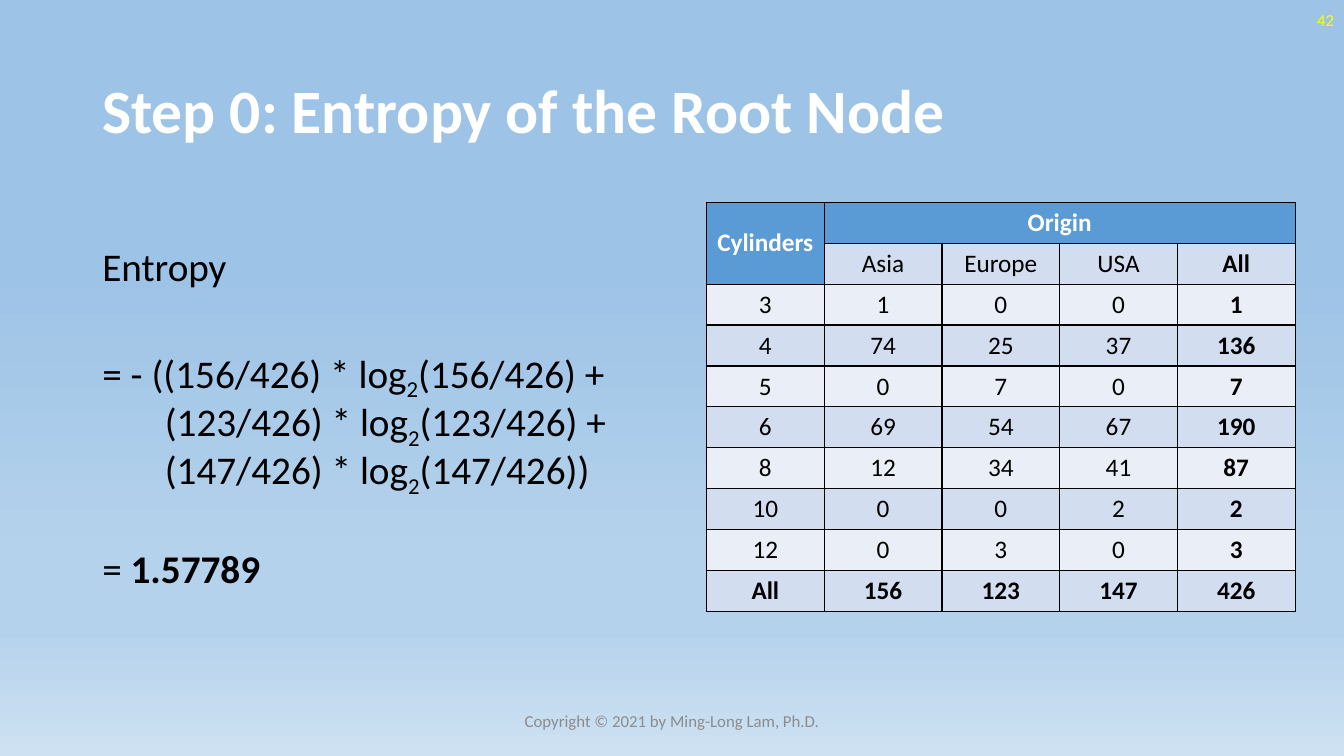
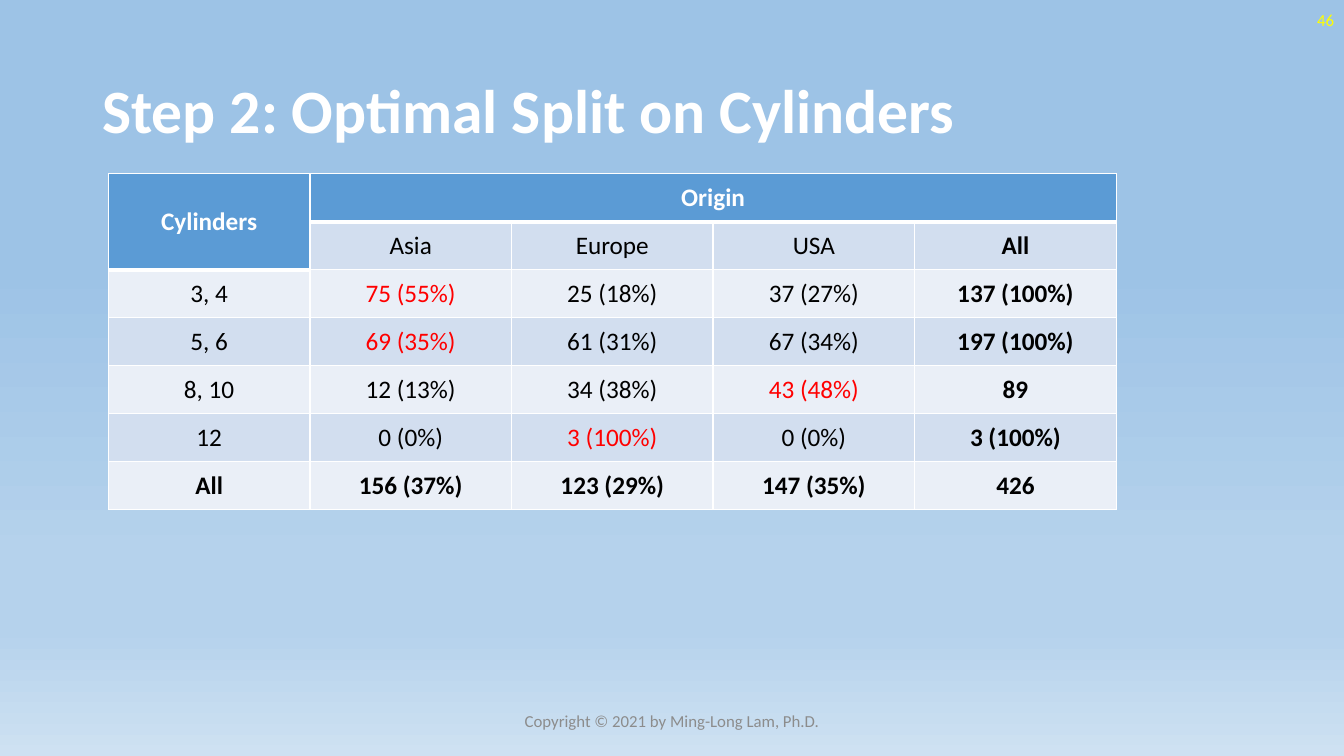
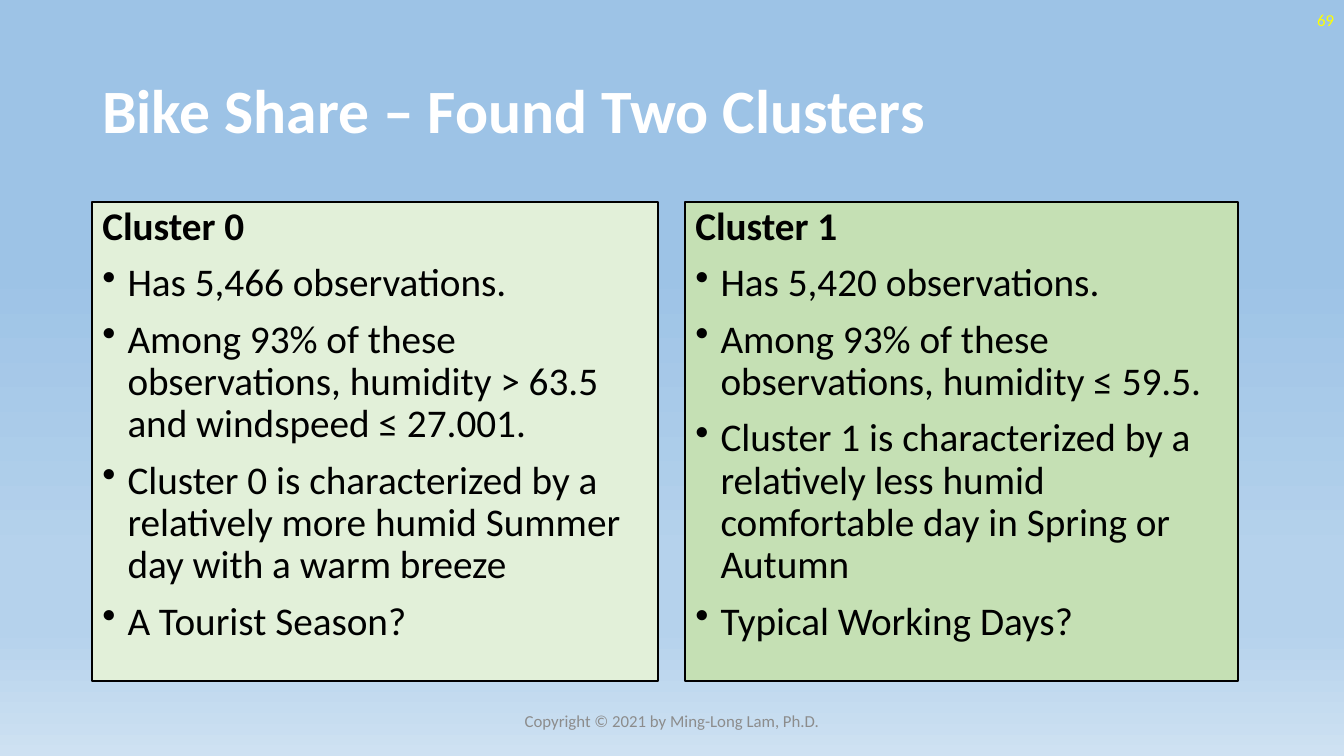
import copy
import dataclasses

import pptx
import pptx.dml.color
import pptx.enum.shapes
import pptx.enum.text
import pptx.oxml
import pptx.oxml.ns
import pptx.util

qn = pptx.oxml.ns.qn
SPACE = pptx.oxml.ns.nsdecls("a")
ALIGN = pptx.enum.text.PP_ALIGN
ANCHOR = pptx.enum.text.MSO_ANCHOR
COLS, ROWS = 16, 9
WIDTH, HEIGHT = pptx.util.Inches(13.33), pptx.util.Inches(7.5)


@dataclasses.dataclass(frozen=True)
class Theme:
    font: str = "Calibri"
    title: int = 44
    body: int = 28
    cell: int = 18
    small: int = 12
    white: str = "FFFFFF"
    black: str = "000000"
    red: str = "FF0000"
    yellow: str = "FFFF00"
    gray: str = "8C8C8C"
    head: str = "5B9BD5"
    bands: tuple = ("EAEFF7", "D2DEEF")
    pale: str = "E2F0D9"
    green: str = "C5E0B4"
    sky: tuple = ((0.35, "9DC3E6"), (0.74, "B5D2EC"),
                  (0.83, "B5D2EC"), (1, "CEE1F2"))


THEME = Theme()


def rgb(code):
    return pptx.dml.color.RGBColor.from_string(code)


def write(para, text, size=THEME.body, color=THEME.black, bold=False,
          align=ALIGN.LEFT, line=None, before=0, left=0, bullet=False):
    """Fill a paragraph; text is a string or a list of (string, kind) runs."""
    para.alignment = align
    para.space_before = pptx.util.Pt(before)
    if line:
        para.line_spacing = line
    props = para._p.get_or_add_pPr()
    props.set("marL", str(pptx.util.Inches(left)))
    if bullet:
        props.set("indent", str(-pptx.util.Inches(left)))
        props.append(pptx.oxml.parse_xml(f'<a:buChar {SPACE} char="•"/>'))
    for part, kind in [(text, "")] if isinstance(text, str) else text:
        run = para.add_run()
        run.text = part
        font = run.font
        font.name, font.size = THEME.font, pptx.util.Pt(size)
        font.bold = bold or kind == "bold"
        font.color.rgb = rgb(color)
        if kind == "sub":
            run._r.get_or_add_rPr().set("baseline", "-25000")


def edge(cell, side, color, width):
    """Draw one border of a cell; call before the cell's fill is set."""
    cell._tc.get_or_add_tcPr().append(pptx.oxml.parse_xml(
        f'<a:ln{side} {SPACE} w="{pptx.util.Pt(width)}">'
        f'<a:solidFill><a:srgbClr val="{color}"/></a:solidFill></a:ln{side}>'))


class Deck:
    def __init__(self):
        self.prs = pptx.Presentation()
        self.prs.slide_width, self.prs.slide_height = WIDTH, HEIGHT
        self.slide = None
        self.paint()

    def paint(self):
        """Give every slide the sky gradient through the master."""
        master = self.prs.slide_master
        fill = master.background.fill
        fill.gradient()
        fill.gradient_angle = 270
        stops = next(master.element.cSld.iter(qn("a:gsLst")))
        while len(stops) < len(THEME.sky):
            stops.append(copy.deepcopy(stops[0]))
        for stop, (place, color) in zip(fill.gradient_stops, THEME.sky):
            stop.position = place
            stop.color.rgb = rgb(color)

    def area(self, left, top, width, height):
        """Turn grid columns and rows into lengths."""
        col, row = WIDTH / COLS, HEIGHT / ROWS
        return [round(n) for n in
                (left * col, top * row, width * col, height * row)]

    def page(self, title, number):
        self.slide = self.prs.slides.add_slide(self.prs.slide_layouts[6])
        self.text((1.1, 0.48, 13.8, 1.74), [(title, {})], size=THEME.title,
                  color=THEME.white, bold=True, line=0.9)
        self.text((5.3, 8.34, 5.4, 0.48),
                  [("Copyright © 2021 by Ming-Long Lam, Ph.D.", {})],
                  size=THEME.small, color=THEME.gray, align=ALIGN.CENTER)
        self.text((12.4, 0, 3.6, 0.48), [(str(number), {})],
                  size=THEME.small, color=THEME.yellow, align=ALIGN.RIGHT)

    def fill(self, frame, lines, anchor, **style):
        """Write (text, style) lines, the shared style under each own one."""
        frame.word_wrap = True
        frame.vertical_anchor = anchor
        for i, (text, own) in enumerate(lines):
            para = frame.add_paragraph() if i else frame.paragraphs[0]
            write(para, text, **{**style, **own})

    def text(self, spot, lines, **style):
        box = self.slide.shapes.add_textbox(*self.area(*spot))
        self.fill(box.text_frame, lines, ANCHOR.MIDDLE, **style)

    def card(self, spot, color, head, points):
        box = self.slide.shapes.add_shape(
            pptx.enum.shapes.MSO_SHAPE.RECTANGLE, *self.area(*spot))
        box.shadow.inherit = False
        box.fill.solid()
        box.fill.fore_color.rgb = rgb(color)
        box.line.color.rgb = rgb(THEME.black)
        box.line.width = pptx.util.Pt(1.5)
        item = dict(left=0.25, bullet=True, before=10)
        lines = [(head, dict(bold=True))] + [(p, item) for p in points]
        self.fill(box.text_frame, lines, ANCHOR.TOP, line=0.9)

    def table(self, spot, rows, border, seam=1, hot=()):
        """Cross table; seam is the line width under the header cells."""
        rows = [("Cylinders", "Origin", "", "", ""),
                ("", "Asia", "Europe", "USA", "All"), *rows]
        high, wide = len(rows), len(rows[0])
        grid = self.slide.shapes.add_table(
            high, wide, *self.area(*spot)).table
        grid.first_row = grid.horz_banding = False
        grid.cell(0, 0).merge(grid.cell(1, 0))
        grid.cell(0, 1).merge(grid.cell(0, wide - 1))
        for r, row in enumerate(rows):
            for c, value in enumerate(row):
                cell = grid.cell(r, c)
                start = 1 if c else 2
                head = r < start
                below = r + cell.span_height
                for side, thick in (("L", False), ("R", False),
                                    ("T", r == start), ("B", below == start)):
                    edge(cell, side, border, seam if thick else 1)
                cell.fill.solid()
                cell.fill.fore_color.rgb = rgb(
                    THEME.head if head else THEME.bands[r % 2])
                cell.vertical_anchor = ANCHOR.MIDDLE
                if not value:
                    continue
                color = (THEME.white if head else
                         THEME.red if (r, c) in hot else THEME.black)
                write(cell.text_frame.paragraphs[0], value, size=THEME.cell,
                      color=color, align=ALIGN.CENTER,
                      bold=head or r == high - 1 or c == wide - 1)


def term(count, start, end):
    """Runs of one entropy term."""
    share = f"({count}/426)"
    return [(f"{start}{share} * log", ""), ("2", "sub"), (share + end, "")]


def root(deck):
    deck.page("Step 0: Entropy of the Root Node", 42)
    deck.text((1.1, 2.4, 7.31, 5.2), [
        ("Entropy", {}),
        (term(156, "= - (", " +"), dict(before=42.5)),
        (term(123, "", " +"), dict(left=0.62)),
        (term(147, "", ")"), dict(left=0.62)),
        ([("= ", ""), ("1.57789", "bold")], dict(before=40)),
    ], line=0.9)
    deck.table((8.41, 2.41, 7.01, 4.87), [
        ("3", "1", "0", "0", "1"),
        ("4", "74", "25", "37", "136"),
        ("5", "0", "7", "0", "7"),
        ("6", "69", "54", "67", "190"),
        ("8", "12", "34", "41", "87"),
        ("10", "0", "0", "2", "2"),
        ("12", "0", "3", "0", "3"),
        ("All", "156", "123", "147", "426"),
    ], THEME.black)


def split(deck):
    deck.page("Step 2: Optimal Split on Cylinders", 46)
    deck.table((1.29, 2.07, 12, 4), [
        ("3, 4", "75 (55%)", "25 (18%)", "37 (27%)", "137 (100%)"),
        ("5, 6", "69 (35%)", "61 (31%)", "67 (34%)", "197 (100%)"),
        ("8, 10", "12 (13%)", "34 (38%)", "43 (48%)", "89"),
        ("12", "0 (0%)", "3 (100%)", "0 (0%)", "3 (100%)"),
        ("All", "156 (37%)", "123 (29%)", "147 (35%)", "426"),
    ], THEME.white, seam=3, hot={(2, 1), (3, 1), (4, 3), (5, 2)})


def bikes(deck):
    deck.page("Bike Share – Found Two Clusters", 69)
    deck.card((1.1, 2.4, 6.73, 5.71), THEME.pale, "Cluster 0", [
        "Has 5,466 observations.",
        "Among 93% of these observations, humidity > 63.5 "
        "and windspeed ≤ 27.001.",
        "Cluster 0 is characterized by a relatively more humid "
        "Summer day with a warm breeze",
        "A Tourist Season?",
    ])
    deck.card((8.16, 2.4, 6.58, 5.71), THEME.green, "Cluster 1", [
        "Has 5,420 observations.",
        "Among 93% of these observations, humidity ≤ 59.5.",
        "Cluster 1 is characterized by a relatively less humid "
        "comfortable day in Spring or Autumn",
        "Typical Working Days?",
    ])


def main():
    deck = Deck()
    root(deck)
    split(deck)
    bikes(deck)
    deck.prs.save("out.pptx")


if __name__ == "__main__":
    main()
